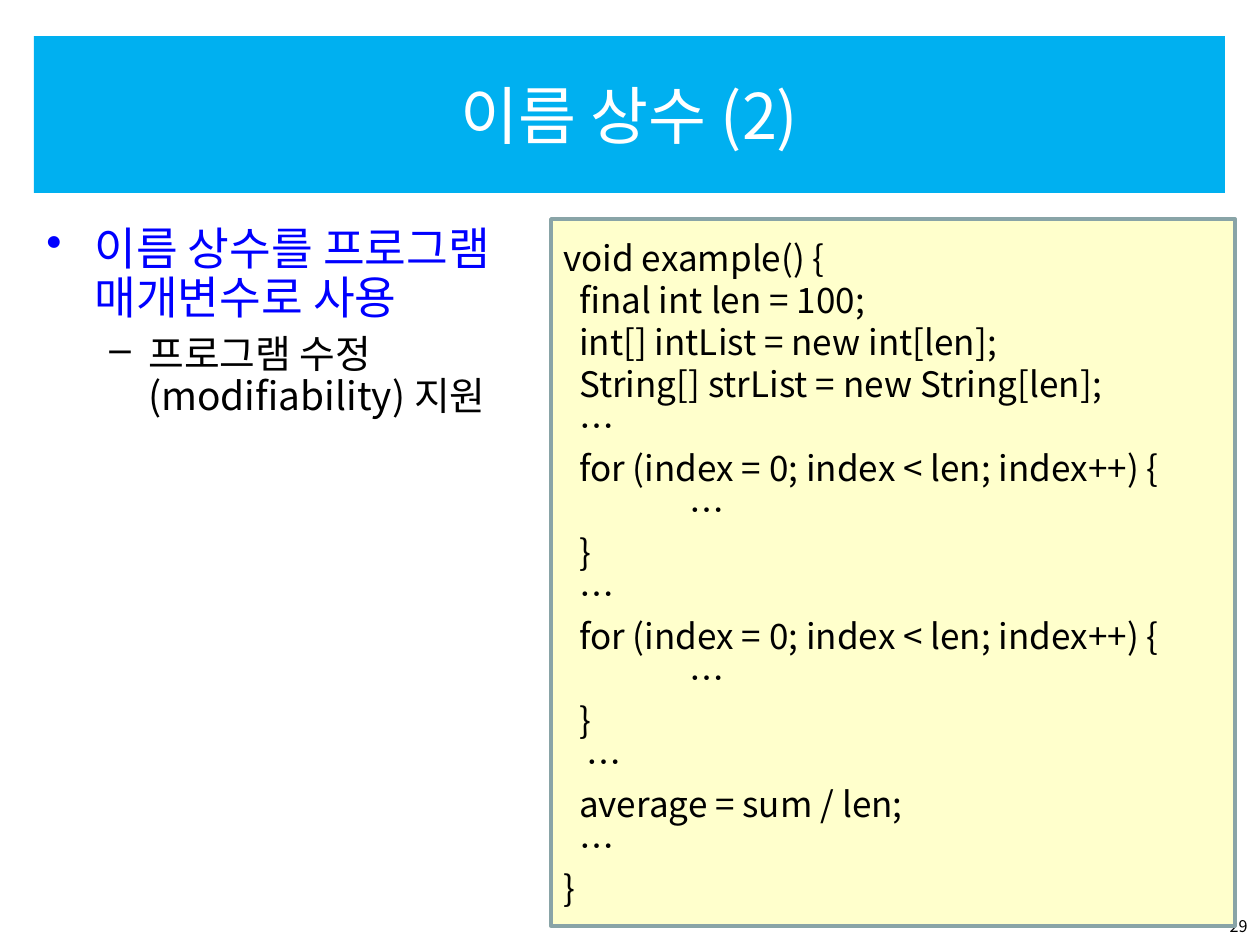
from lxml import etree
from pptx import Presentation
from pptx.dml.color import RGBColor
from pptx.enum.shapes import MSO_SHAPE
from pptx.enum.text import MSO_ANCHOR, PP_ALIGN
from pptx.oxml.ns import qn
from pptx.util import Emu, Pt

RECT = MSO_SHAPE.RECTANGLE
MIDDLE = MSO_ANCHOR.MIDDLE
LEFT, CENTER, RIGHT = PP_ALIGN.LEFT, PP_ALIGN.CENTER, PP_ALIGN.RIGHT

FONT = "Noto Sans CJK KR"
WHITE = RGBColor(0xFF, 0xFF, 0xFF)
BLACK = RGBColor(0, 0, 0)
BLUE = RGBColor(0, 0, 0xFF)
SKY = RGBColor(0, 0xB0, 0xF0)
CREAM = RGBColor(0xFF, 0xFF, 0xCC)
GREY = RGBColor(0x89, 0xA4, 0xA7)

CODE = """void example() {
  final int len = 100;
  int[] intList = new int[len];
  String[] strList = new String[len];
  …
  for (index = 0; index < len; index++) {
  \t…
  }
  …
  for (index = 0; index < len; index++) {
  \t…
  }
   …
  average = sum / len;
  …
}"""


def px(n):
    return Emu(round(n * 914400 / 126))


def write(p, text, size, color, align=LEFT):
    p.alignment = align
    r = p.add_run()
    r.text = text
    r.font.color.rgb = color
    for name, value in {"size": Pt(size), "name": FONT}.items():
        setattr(r.font, name, value)
    etree.SubElement(r.font._element, qn("a:ea"), typeface=FONT)


prs = Presentation()
prs.slide_width, prs.slide_height = px(1260), px(945)
s = prs.slides.add_slide(prs.slide_layouts[5])

# Title band
title = s.shapes.title
place = {"left": 34, "top": 36, "width": 1191, "height": 157}
for name, value in place.items():
    setattr(title, name, px(value))
title.fill.solid()
title.fill.fore_color.rgb = SKY
title.text_frame.vertical_anchor = MIDDLE
write(title.text_frame.paragraphs[0], "이름 상수 (2)", 36, WHITE, CENTER)

# Bullets: text, level, size, colour, mark, left margin, hanging indent, space before
bullets = [
    ("이름 상수를 프로그램 매개변수로 사용", 0, 25.9, BLUE, "•", 48, 48, 0),
    ("프로그램 수정(modifiability) 지원", 1, 22.2, BLACK, "–", 102, 39, 6),
]
tf = s.shapes.add_textbox(px(34), px(220), px(491), px(282)).text_frame
tf.word_wrap = True
for i, (text, level, size, color, mark, margin, hang, before) in enumerate(bullets):
    p = tf.add_paragraph() if i else tf.paragraphs[0]
    p.level = level
    p.line_spacing = 0.9
    p.space_before = Pt(before)
    pPr = p._p.get_or_add_pPr()
    pPr.set("marL", str(px(margin)))
    pPr.set("indent", str(-px(hang)))
    clr = etree.SubElement(pPr, qn("a:buClr"))
    etree.SubElement(clr, qn("a:srgbClr"), val=str(color))
    etree.SubElement(pPr, qn("a:buChar"), char=mark)
    write(p, text, size, color)

# Page number
tf = s.shapes.add_textbox(px(966), px(910), px(294), px(35)).text_frame
tf.word_wrap = True
write(tf.paragraphs[0], "29", 9.2, BLACK, RIGHT)

# Code panel
sp = s.shapes.add_shape(RECT, px(551), px(219), px(684), px(707))
sp.shadow.inherit = False
sp.fill.solid()
sp.fill.fore_color.rgb = CREAM
sp.line.color.rgb = GREY
sp.line.width = Pt(2)
tf = sp.text_frame
tf.vertical_anchor = MIDDLE
for i, line in enumerate(CODE.split("\n")):
    p = tf.add_paragraph() if i else tf.paragraphs[0]
    tabs = etree.SubElement(p._p.get_or_add_pPr(), qn("a:tabLst"))
    etree.SubElement(tabs, qn("a:tab"), pos=str(px(126)), algn="l")
    write(p, line, 20, BLACK)

prs.save("out.pptx")
